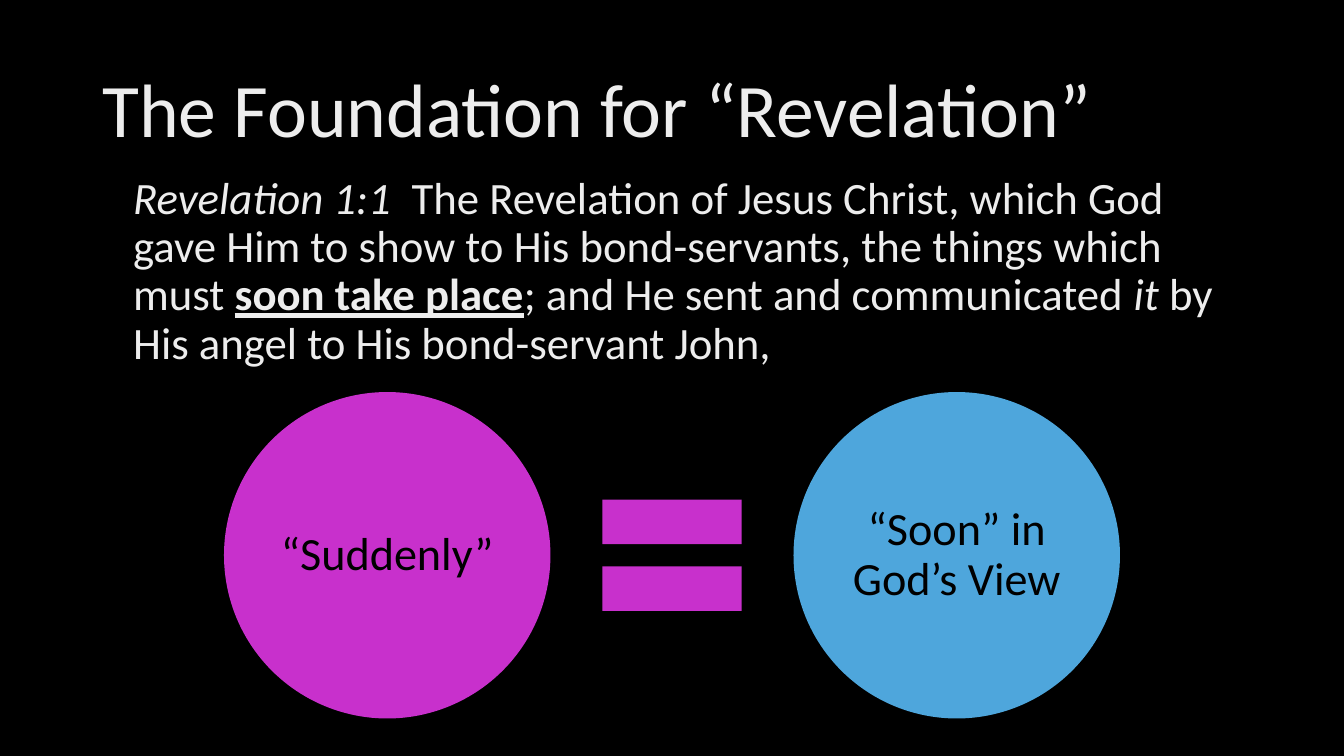
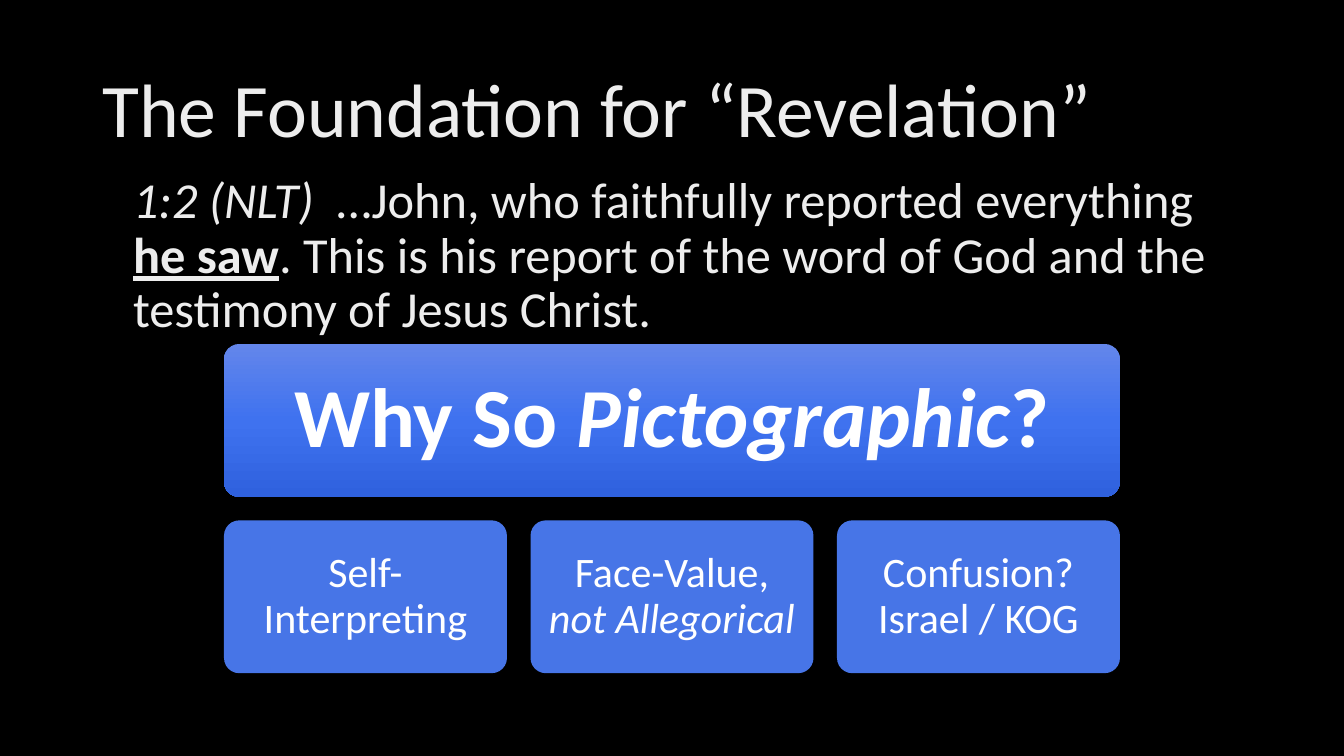
from copy import deepcopy

from pptx import Presentation
from pptx.dml.color import RGBColor
from pptx.enum.shapes import MSO_SHAPE
from pptx.enum.text import MSO_ANCHOR, MSO_AUTO_SIZE, PP_ALIGN
from pptx.util import Pt

ELLIPSE = MSO_SHAPE.OVAL
EQUALS = MSO_SHAPE.MATH_EQUAL
ROUNDED = MSO_SHAPE.ROUNDED_RECTANGLE
LEFT, CENTER = PP_ALIGN.LEFT, PP_ALIGN.CENTER
TOP, MIDDLE = MSO_ANCHOR.TOP, MSO_ANCHOR.MIDDLE
NO_AUTOFIT = MSO_AUTO_SIZE.NONE

BLACK = RGBColor(0x00, 0x00, 0x00)
WHITE = RGBColor(0xFF, 0xFF, 0xFF)
PALE = RGBColor(0xED, 0xED, 0xED)
MAGENTA = RGBColor(0xC8, 0x30, 0xCC)
SKY = RGBColor(0x4E, 0xA6, 0xDC)
BLUE = RGBColor(0x47, 0x75, 0xE7)
BANNER_STOPS = (
    (0, RGBColor(0x63, 0x86, 0xEB)),
    (0.5, RGBColor(0x3F, 0x72, 0xEF)),
    (1, RGBColor(0x2F, 0x61, 0xDE)),
)

# Run formats
PLAIN = {}
ITALIC = {"italic": True}
BOLD = {"bold": True}
BOLD_ITALIC = {"bold": True, "italic": True}
STRESSED = {"bold": True, "underline": True}

# Slide and diagram geometry, in points
SLIDE_W, SLIDE_H = 960, 540
DIAGRAM_W = 640
DIAGRAM_X = (SLIDE_W - DIAGRAM_W) / 2


class Deck:
    """Holds the shared style and the current slide."""

    font = "Calibri"
    title_text = "The Foundation for “Revelation”"

    def __init__(self):
        self.prs = Presentation()
        self.prs.slide_width, self.prs.slide_height = Pt(SLIDE_W), Pt(SLIDE_H)
        self.layout = self.prs.slide_layouts[5]
        self.slide = None

    def new_slide(self):
        self.slide = self.prs.slides.add_slide(self.layout)
        background = self.slide.background.fill
        background.solid()
        background.fore_color.rgb = BLACK
        title = self.slide.shapes.title
        title.left, title.top = Pt(66), Pt(28.8)
        title.width, title.height = Pt(828), Pt(104.4)
        self.set_text(title, [(self.title_text, PLAIN)], 54, PALE, LEFT, MIDDLE)

    def set_text(self, shape, runs, size, color, align, anchor, inset=None):
        frame = shape.text_frame
        layout = {"word_wrap": True, "auto_size": NO_AUTOFIT, "vertical_anchor": anchor}
        if inset is not None:
            sides = ("left", "top", "right", "bottom")
            layout.update({f"margin_{side}": Pt(inset) for side in sides})
        for key, value in layout.items():
            setattr(frame, key, value)
        paragraph = frame.paragraphs[0]
        paragraph.alignment, paragraph.line_spacing = align, 0.9
        for text, run_format in runs:
            run = paragraph.add_run()
            run.text = text
            run.font.color.rgb = color
            for key, value in {"name": self.font, "size": Pt(size), **run_format}.items():
                setattr(run.font, key, value)

    def verse(self, runs, size):
        box = self.slide.shapes.add_textbox(Pt(88), Pt(121.7), Pt(805.7), Pt(150))
        self.set_text(box, runs, size, PALE, LEFT, TOP)

    def shape(self, kind, x, y, width, height, color):
        shape = self.slide.shapes.add_shape(kind, Pt(x), Pt(y), Pt(width), Pt(height))
        shape.shadow.inherit = False
        shape.fill.solid()
        shape.fill.fore_color.rgb = color
        shape.line.fill.background()
        return shape

    def circle(self, x, y, diameter, color, label):
        circle = self.shape(ELLIPSE, x, y, diameter, diameter, color)
        self.set_text(circle, [(label, PLAIN)], 33, BLACK, CENTER, MIDDLE, 3.6)

    def card(self, x, y, width, height, runs, size, inset):
        card = self.shape(ROUNDED, x, y, width, height, BLUE)
        card.adjustments[0] = 0.1
        self.set_text(card, runs, size, WHITE, CENTER, MIDDLE, inset)
        return card

    def shade(self, shape, stops):
        """Give the shape a three-stop gradient running downwards."""
        shape.fill.gradient()
        shape.fill.gradient_angle = 270
        first = shape._element.xpath(".//a:gs")[0]
        first.addnext(deepcopy(first))
        for stop, (position, color) in zip(shape.fill.gradient_stops, stops):
            stop.position = position
            stop.color.rgb = color


def soon_slide(deck):
    deck.new_slide()
    deck.verse([
        ("Revelation 1:1 ", ITALIC),
        (" The Revelation of Jesus Christ, which God gave Him to show to His "
         "bond-servants, the things which must ", PLAIN),
        ("soon take place", STRESSED),
        ("; and He sent and communicated ", PLAIN),
        ("it", ITALIC),
        (" by His angel to His bond-servant John,", PLAIN),
    ], 32)

    # Equation: two circles with an equals sign midway
    diameter, equals_size, top = 233.2, 135.4, 280
    middle = top + diameter / 2
    deck.circle(DIAGRAM_X, top, diameter, MAGENTA, "“Suddenly”")
    deck.shape(EQUALS, (SLIDE_W - equals_size) / 2, middle - equals_size / 2,
               equals_size, equals_size, MAGENTA)
    deck.circle(DIAGRAM_X + DIAGRAM_W - diameter, top, diameter, SKY,
                "“Soon” in God’s View")


def pictographic_slide(deck):
    deck.new_slide()
    deck.verse([
        ("1:2 (NLT)  ", ITALIC),
        ("…John, who faithfully reported everything", PLAIN),
        (" he saw", STRESSED),
        (". This is his report of the word of God and the testimony of "
         "Jesus Christ.", PLAIN),
    ], 36)

    # Question banner
    top, height, gap = 245.7, 109.2, 16.8
    question = [("Why So ", BOLD), ("Pictographic", BOLD_ITALIC), ("?", BOLD)]
    banner = deck.card(DIAGRAM_X, top, DIAGRAM_W, height, question, 60, 18)
    deck.shade(banner, BANNER_STOPS)

    # Row of answers
    answers = (
        [("Self-Interpreting", PLAIN)],
        [("Face-Value, ", PLAIN), ("not Allegorical", ITALIC)],
        [("Confusion? Israel / KOG", PLAIN)],
    )
    width = (DIAGRAM_W - gap * (len(answers) - 1)) / len(answers)
    for column, answer in enumerate(answers):
        deck.card(DIAGRAM_X + column * (width + gap), top + height + gap,
                  width, height, answer, 30, 8)


def main():
    deck = Deck()
    soon_slide(deck)
    pictographic_slide(deck)
    deck.prs.save("out.pptx")


if __name__ == "__main__":
    main()
